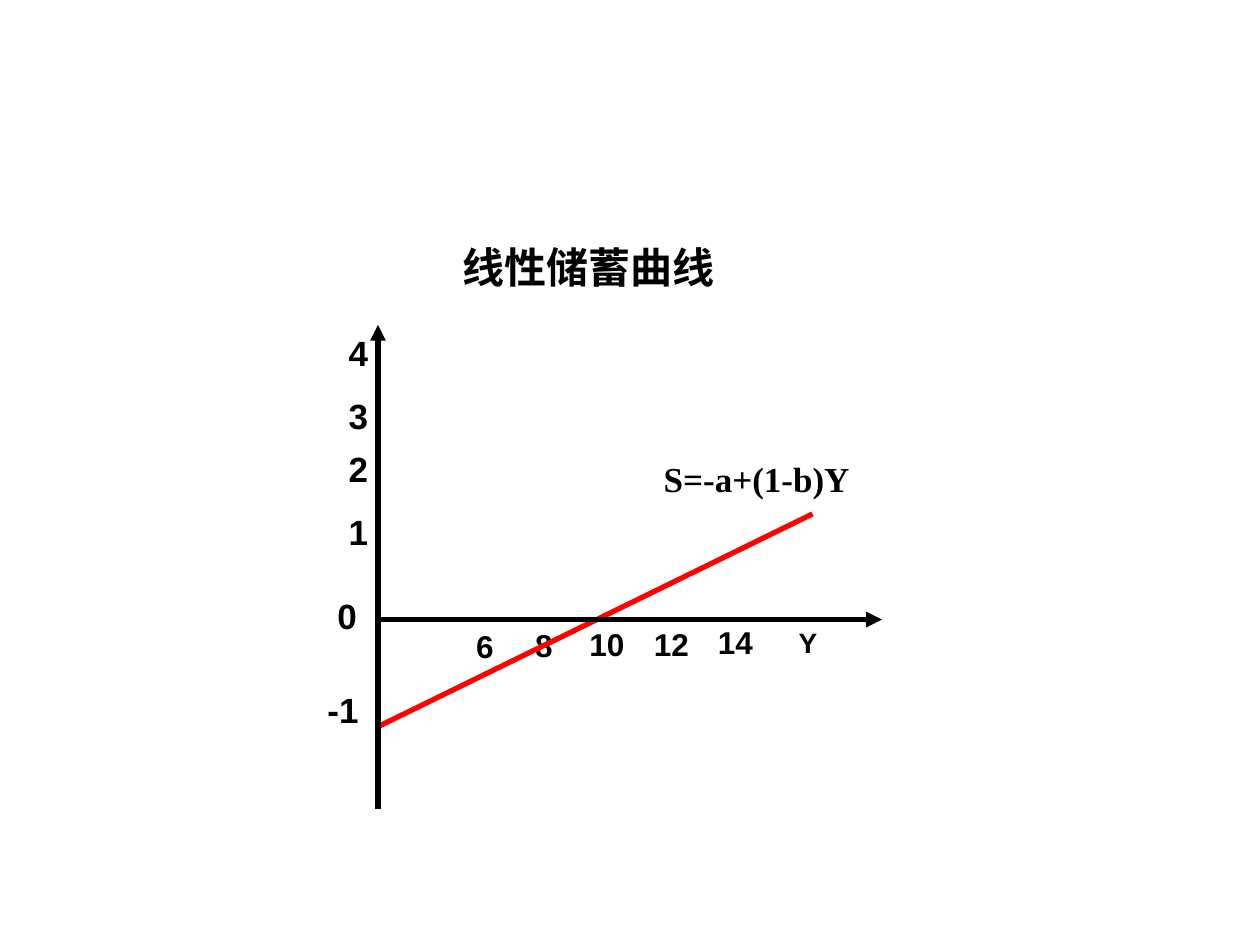
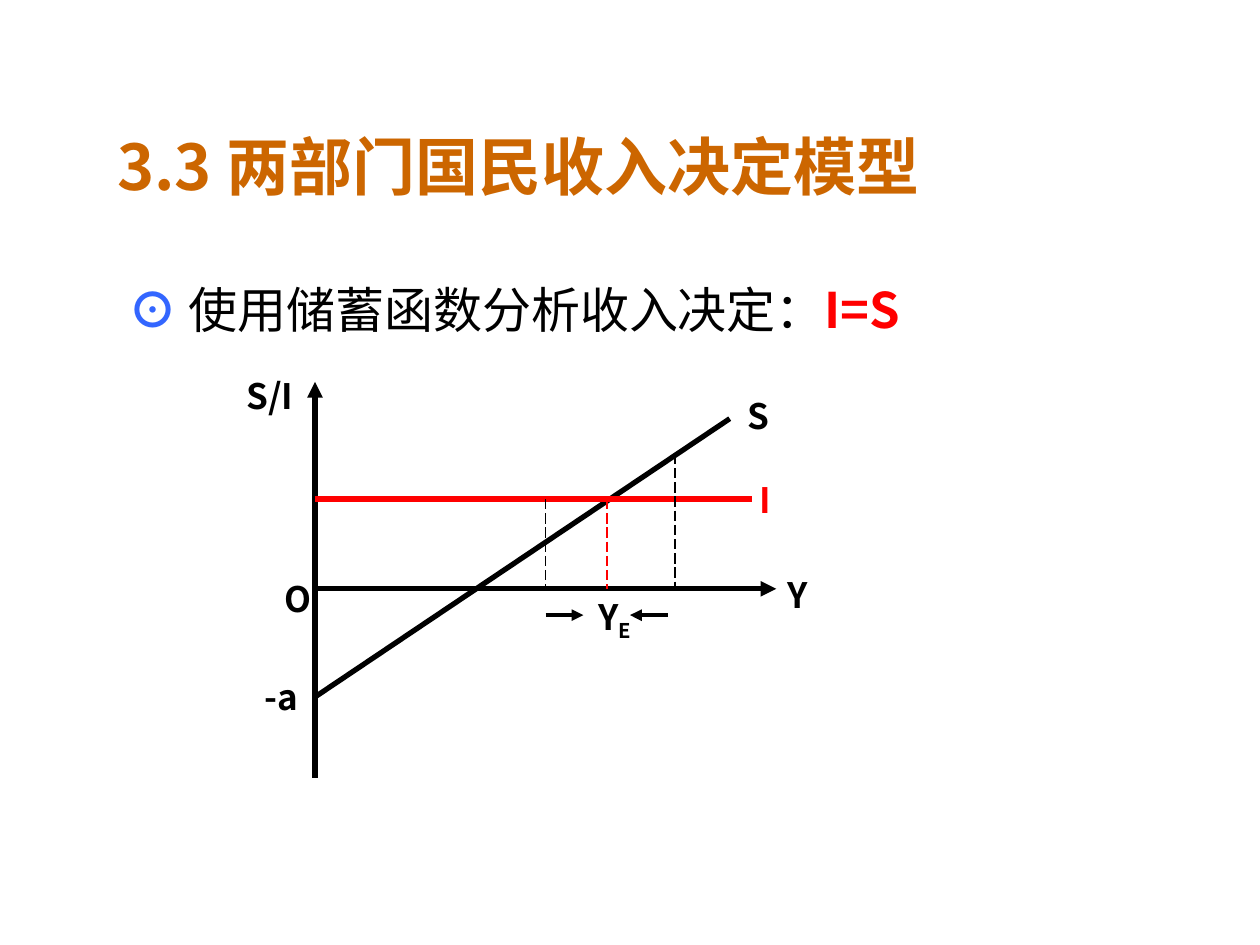
from dataclasses import dataclass

from lxml.etree import SubElement
from pptx import Presentation
from pptx.dml.color import RGBColor
from pptx.enum.dml import MSO_LINE
from pptx.enum.shapes import MSO_CONNECTOR
from pptx.enum.text import MSO_ANCHOR, MSO_AUTO_SIZE, PP_ALIGN
from pptx.oxml.ns import qn
from pptx.util import Cm, Pt

BLACK, RED, ORANGE, BLUE = "000000", "FF0000", "CC6600", "3366FF"
HAN, SANS, SERIF = "Noto Sans CJK SC", "Arial", "Times New Roman"


@dataclass
class Box:
    """A region in centimetres."""
    left: float
    top: float
    width: float
    height: float

    def inner(self, x, y, width, height):
        """Return a box placed relative to this one."""
        return Box(self.left + x, self.top + y, width, height)


def color(hex_code):
    """Turn a hex string into a colour."""
    return RGBColor.from_string(hex_code)


def write(paragraph, text, size=20, font=HAN, ink=BLACK, bold=True, baseline=None):
    """Append a formatted run to a paragraph."""
    run = paragraph.add_run()
    run.text = text
    run.font.size, run.font.bold, run.font.name = Pt(size), bold, font
    run.font.color.rgb = color(ink)
    properties = run._r.get_or_add_rPr()
    SubElement(properties, qn("a:ea")).set("typeface", HAN)
    if baseline:
        properties.set("baseline", str(baseline * 1000))


def place(holder, box, anchor, align=PP_ALIGN.LEFT):
    """Move a placeholder into a box and return its first paragraph."""
    holder.left, holder.top = Cm(box.left), Cm(box.top)
    holder.width, holder.height = Cm(box.width), Cm(box.height)
    frame = holder.text_frame
    frame.auto_size, frame.vertical_anchor = MSO_AUTO_SIZE.NONE, anchor
    paragraph = frame.paragraphs[0]
    paragraph.alignment, paragraph.space_before = align, Pt(0)
    return paragraph


def add_title(slide, text, box, align=PP_ALIGN.LEFT, **style):
    """Fill the title placeholder."""
    write(place(slide.shapes.title, box, MSO_ANCHOR.MIDDLE, align), text, **style)


def add_statement(slide, box):
    """Fill the body placeholder with the marked statement."""
    paragraph = place(slide.placeholders[1], box, MSO_ANCHOR.TOP)
    properties = paragraph._p.get_or_add_pPr()
    properties.set("marL", str(Cm(0.97)))
    properties.set("indent", str(-Cm(0.97)))
    SubElement(properties, qn("a:buNone"))
    write(paragraph, "⊙ ", size=28, ink=BLUE)
    write(paragraph, "使用储蓄函数分析收入决定：", size=28, bold=False)
    write(paragraph, "I=S", size=28, ink=RED)


def add_label(shapes, box, text, **style):
    """Add a one-line label and return its paragraph."""
    label = shapes.add_textbox(Cm(box.left), Cm(box.top), Cm(box.width), Cm(box.height))
    label.text_frame.word_wrap = False
    paragraph = label.text_frame.paragraphs[0]
    write(paragraph, text, **style)
    return paragraph


def add_line(shapes, box, start, end, ink=BLACK, width=3, arrow=False, dash=None):
    """Draw a straight line between two points of a box."""
    points = [Cm(value) for x, y in (start, end) for value in (box.left + x, box.top + y)]
    connector = shapes.add_connector(MSO_CONNECTOR.STRAIGHT, *points)
    connector.line.color.rgb = color(ink)
    connector.line.width = Pt(width)
    if dash:
        connector.line.dash_style = dash
    properties = connector._element.spPr
    if arrow:
        SubElement(properties.find(qn("a:ln")), qn("a:tailEnd")).set("type", "triangle")
    SubElement(properties, qn("a:effectLst"))


def add_axes(shapes, box, zero):
    """Draw the axes, with the horizontal one at height zero."""
    add_line(shapes, box, (0, zero), (box.width, zero), arrow=True)
    add_line(shapes, box, (0, box.height), (0, 0), arrow=True)


def add_saving_graph(slide, box):
    """Draw the linear saving curve with its scales."""
    shapes = slide.shapes.add_group_shape().shapes
    saving_scale = [("4", -0.84, 0), ("3", -0.84, 1.27), ("2", -0.84, 2.34),
                    ("1", -0.84, 3.61), ("0", -1.07, 5.31), ("-1", -1.27, 7.21)]
    for number, x, y in saving_scale:
        width = 0.89 if len(number) == 1 else 1.14
        add_label(shapes, box.inner(x, y, width, 1.09), number, font=SANS)
    income_scale = [("6", 1.73, 5.97), ("8", 2.92, 5.94), ("10", 4.01, 5.92),
                    ("12", 5.31, 5.92), ("14", 6.6, 5.89)]
    for number, x, y in income_scale:
        width = 0.86 if len(number) == 1 else 1.22
        add_label(shapes, box.inner(x, y, width, 1.02), number, size=18, font=SANS)
    add_label(shapes, box.inner(8.23, 5.94, 0.89, 0.91), "Y", size=16, font=SANS)
    add_label(shapes, box.inner(5.51, 2.54, 4.52, 1.12), "S=-a+(1-b)Y", font=SERIF)
    add_line(shapes, box, (0, 8.1), (8.76, 3.81), ink=RED)
    add_axes(shapes, box, 5.94)


def add_equilibrium_graph(slide, box):
    """Draw saving against investment and the equilibrium income."""
    shapes = slide.shapes.add_group_shape().shapes
    zero, investment, adjustment = 4.17, 2.36, 4.7
    low, equilibrium, high = 4.65, 5.89, 7.26
    add_axes(shapes, box, zero)
    add_line(shapes, box, (0, 6.35), (8.36, 0.74))
    add_line(shapes, box, (0, investment), (8.81, investment), ink=RED)
    for income, top, ink in ((equilibrium, investment, RED), (low, investment, BLACK),
                             (high, 1.45, BLACK)):
        add_line(shapes, box, (income, top), (income, zero), ink=ink, width=0.75,
                 dash=MSO_LINE.LONG_DASH)
    for start, end in ((low, 5.41), (7.11, 6.35)):
        add_line(shapes, box, (start, adjustment), (end, adjustment), width=2.25, arrow=True)
    for text, x, y, width, ink in (("S/I", -1.63, -0.28, 1.45, BLACK),
                                   ("O", -0.86, 3.81, 1.07, BLACK),
                                   ("Y", 9.27, 3.73, 0.94, BLACK),
                                   ("-a", -1.27, 5.79, 1.22, BLACK),
                                   ("S", 8.46, 0.13, 0.89, BLACK),
                                   ("I", 8.71, 1.83, 0.79, RED)):
        add_label(shapes, box.inner(x, y, width, 1.12), text, ink=ink)
    income_label = add_label(shapes, box.inner(5.46, zero, 1.17, 1.22), "Y")
    write(income_label, "E", baseline=-25)


def main():
    """Build and save both slides."""
    deck = Presentation()
    deck.slide_width, deck.slide_height = Cm(25.4), Cm(19.05)

    saving = deck.slides.add_slide(deck.slide_layouts[5])
    add_title(saving, "线性储蓄曲线", Box(8.26, 4.65, 7.19, 1.47), PP_ALIGN.CENTER,
              size=24, font=SANS)
    add_saving_graph(saving, Box(7.62, 6.55, 10.16, 9.76))

    model = deck.slides.add_slide(deck.slide_layouts[1])
    add_title(model, "3.3 两部门国民收入决定模型", Box(2.11, 2.54, 20.75, 1.57),
              size=36, ink=ORANGE)
    add_statement(model, Box(2.34, 5.51, 20.52, 11.23))
    add_equilibrium_graph(model, Box(6.35, 7.7, 9.3, 7.98))

    deck.save("out.pptx")


if __name__ == "__main__":
    main()
